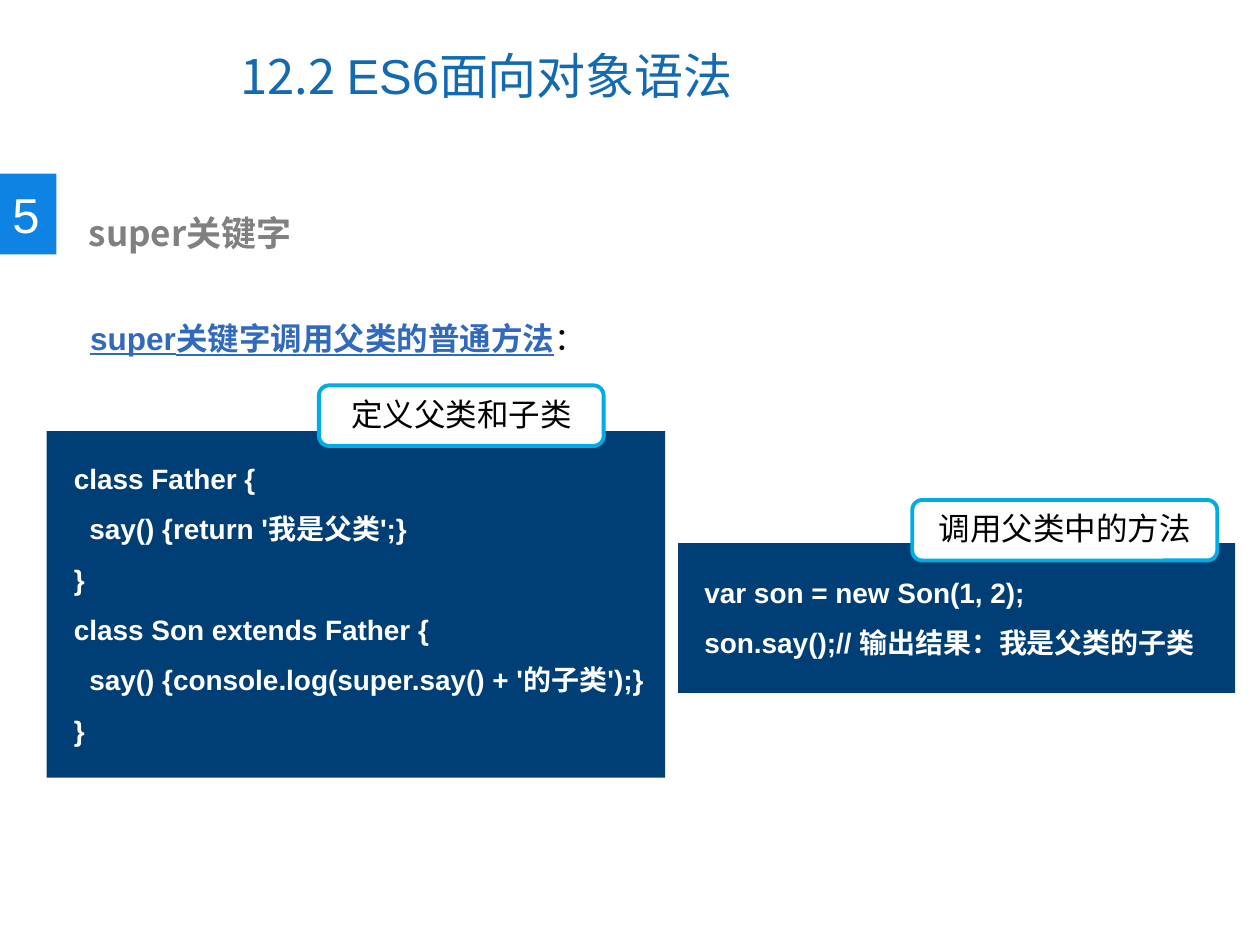
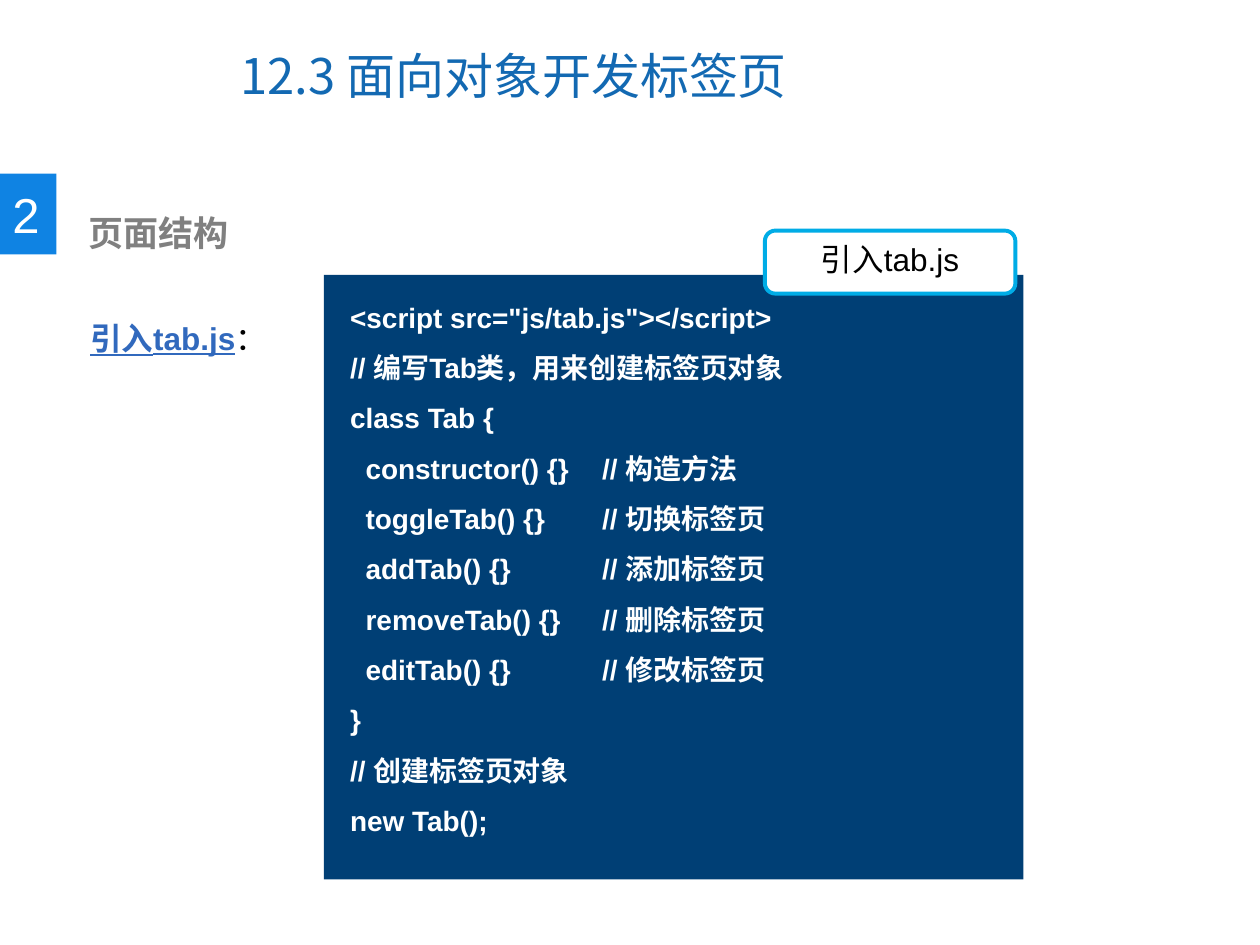
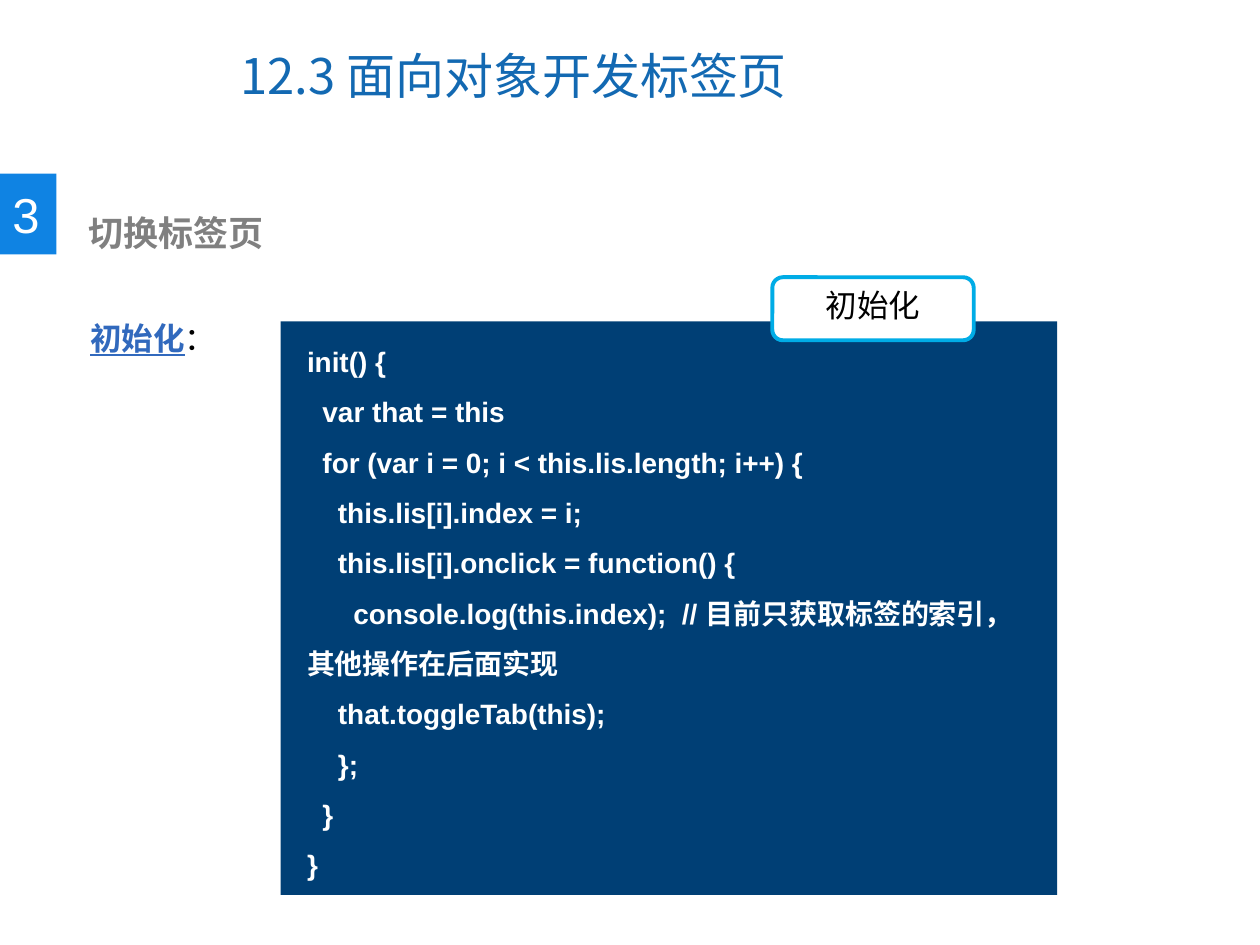
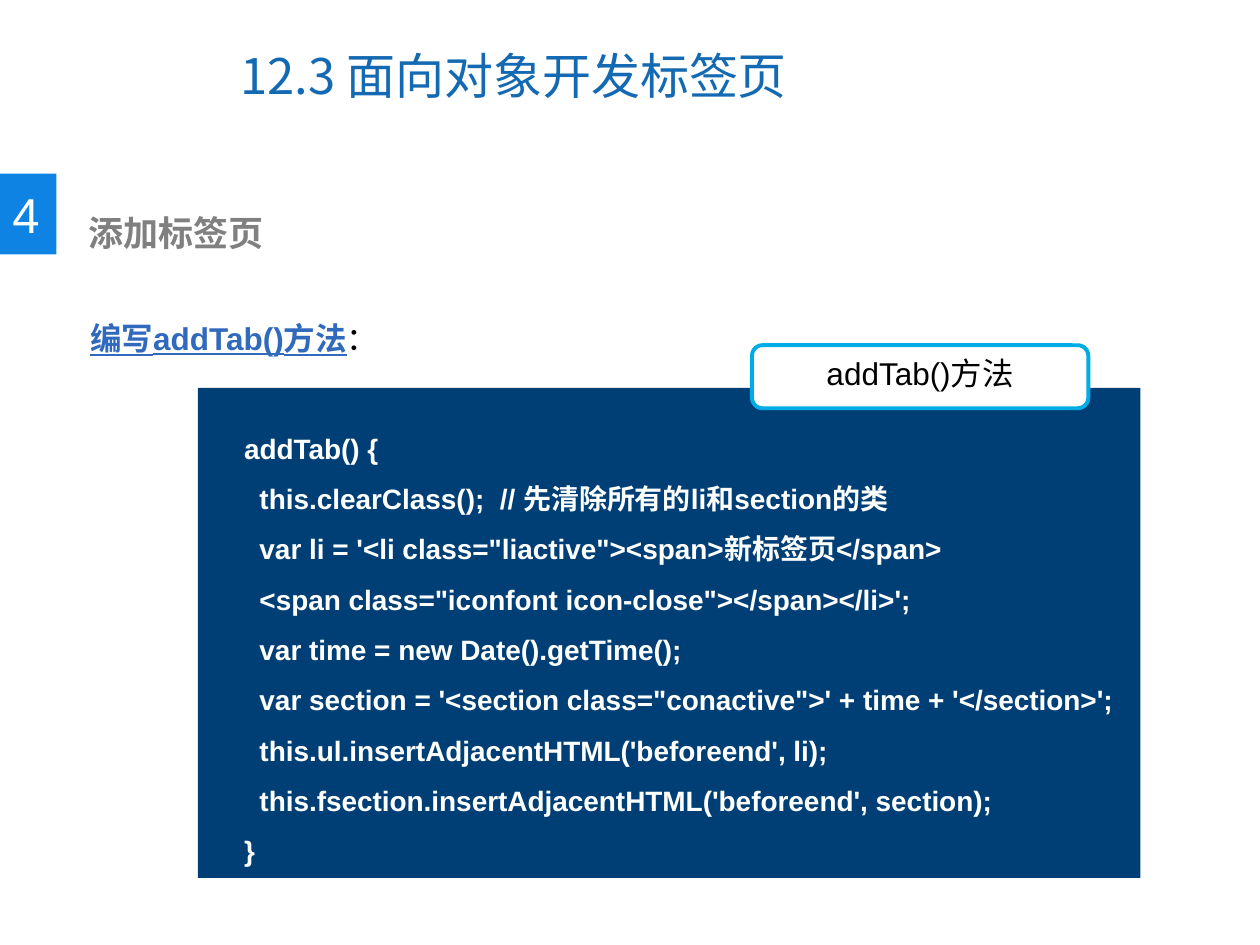
import dataclasses

import lxml.etree
import pptx
import pptx.dml.color
import pptx.enum.shapes
import pptx.enum.text
import pptx.oxml.ns
import pptx.util

Cm = pptx.util.Cm
SHAPES = pptx.enum.shapes.MSO_SHAPE
ANCHORS = pptx.enum.text.MSO_ANCHOR
ALIGN = pptx.enum.text.PP_ALIGN


@dataclasses.dataclass(frozen=True)
class Theme:
    latin: str = "Arial"
    chinese: str = "Noto Sans CJK SC"
    title: str = "1369B2"
    badge: str = "0F83E3"
    heading: str = "808080"
    lead: str = "3169BD"
    panel: str = "003F75"
    tag_line: str = "00ACE6"
    black: str = "000000"
    white: str = "FFFFFF"
    title_size: int = 28
    heading_size: int = 20
    body_size: int = 18
    code_size: int = 16


THEME = Theme()


@dataclasses.dataclass(frozen=True)
class Box:
    """A rectangle in centimetres."""
    left: float
    top: float
    width: float
    height: float

    def inside(self, left, top, width, height):
        return Box(self.left + left, self.top + top, width, height)

    def lengths(self):
        return [Cm(side) for side in (self.left, self.top, self.width, self.height)]


@dataclasses.dataclass(frozen=True)
class Panel:
    """A code panel; tag and text places are relative to its box."""
    box: Box
    tag: str
    tag_place: tuple
    text_place: tuple
    code: str


TITLE_BOX = Box(4.6, 0.43, 13.1, 2.16)
BADGE_BOX = Box(0, 3.5, 1.14, 1.63)
HEADING_BOX = Box(1.19, 4.14, 13.06, 1.12)
LEAD_BOX = Box(1.57, 5.54, 21.97, 1.55)
HEADING_INSET = 0.6
COMMENT_TAB = 5.08

TAB_TITLE = [("12.3 面向对象开发标签页", THEME.chinese)]

CLASSES_CODE = """\
class Father {
  say() {return '我是父类';}
}
class Son extends Father {
  say() {console.log(super.say() + '的子类');}
}"""

CALL_CODE = """\
var son = new Son(1, 2);
son.say();// 输出结果：我是父类的子类"""

TAB_CODE = """\
<script src="js/tab.js"></script>
// 编写Tab类，用来创建标签页对象
class Tab {
  constructor() {}\t// 构造方法
  toggleTab() {}\t// 切换标签页
  addTab() {}\t// 添加标签页
  removeTab() {}\t// 删除标签页
  editTab() {}\t// 修改标签页
}
// 创建标签页对象
new Tab();"""

INIT_CODE = """\
init() {
  var that = this
  for (var i = 0; i < this.lis.length; i++) {
    this.lis[i].index = i;
    this.lis[i].onclick = function() {
      console.log(this.index);  // 目前只获取标签的索引，其他操作在后面实现
    that.toggleTab(this);
    };
  }
}"""

ADD_CODE = """\
addTab() {
  this.clearClass();  // 先清除所有的li和section的类
  var li = '<li class="liactive"><span>新标签页</span>
  <span class="iconfont icon-close"></span></li>';
  var time = new Date().getTime();
  var section = '<section class="conactive">' + time + '</section>';
  this.ul.insertAdjacentHTML('beforeend', li);
  this.fsection.insertAdjacentHTML('beforeend', section);
}"""


def rgb(value):
    return pptx.dml.color.RGBColor.from_string(value)


def add_span(para, text, size, color, latin=THEME.latin, bold=False, underline=False):
    span = para.add_run()
    span.text = text
    font = span.font
    font.size = pptx.util.Pt(size)
    font.color.rgb = rgb(color)
    font.name = latin
    font.bold = bold
    font.underline = underline
    east_asian = pptx.oxml.ns.qn("a:ea")
    span.font._element.find(pptx.oxml.ns.qn("a:latin")).addnext(
        lxml.etree.Element(east_asian, typeface=THEME.chinese))


def add_text_frame(page, box, wrap=True):
    frame = page.shapes.add_textbox(*box.lengths()).text_frame
    frame.word_wrap = wrap
    return frame


def add_filled_shape(page, kind, box, fill, line=None):
    shape = page.shapes.add_shape(kind, *box.lengths())
    shape.shadow.inherit = False
    shape.fill.solid()
    shape.fill.fore_color.rgb = rgb(fill)
    if line:
        shape.line.color.rgb = rgb(line)
        shape.line.width = pptx.util.Pt(2.25)
    else:
        shape.line.fill.background()
    return shape


def add_title(page, box, parts):
    frame = add_text_frame(page, box)
    frame.vertical_anchor = ANCHORS.MIDDLE
    for text, latin in parts:
        add_span(frame.paragraphs[0], text, THEME.title_size, THEME.title, latin)


def add_badge(page, box, number):
    add_filled_shape(page, SHAPES.RECTANGLE, box, THEME.badge)
    frame = add_text_frame(page, box.inside(0, 0.1, 1.07, 1.45), wrap=False)
    add_span(frame.paragraphs[0], number, THEME.title_size, THEME.white)


def add_heading(page, box, text):
    frame = add_text_frame(page, box)
    frame.margin_left = Cm(HEADING_INSET)
    add_span(frame.paragraphs[0], text, THEME.heading_size, THEME.heading,
             THEME.chinese, bold=True)


def add_lead(page, box, text):
    para = add_text_frame(page, box).paragraphs[0]
    para.line_spacing = 2.0
    add_span(para, text, THEME.body_size, THEME.lead, bold=True, underline=True)
    add_span(para, "：", THEME.body_size, THEME.black)


def add_tab_stop(para, position):
    properties = para._p.get_or_add_pPr()
    stops = lxml.etree.SubElement(properties, pptx.oxml.ns.qn("a:tabLst"))
    lxml.etree.SubElement(stops, pptx.oxml.ns.qn("a:tab"),
                          pos=str(Cm(position)), algn="l")


def add_code(page, box, code):
    frame = add_text_frame(page, box)
    for index, line in enumerate(code.split("\n")):
        para = frame.add_paragraph() if index else frame.paragraphs[0]
        para.line_spacing = 1.5
        if "\t" in line:
            add_tab_stop(para, COMMENT_TAB)
        add_span(para, line, THEME.code_size, THEME.white, bold=True)


def add_tag(page, box, text):
    tag = add_filled_shape(page, SHAPES.ROUNDED_RECTANGLE, box, THEME.white, THEME.tag_line)
    frame = tag.text_frame
    frame.word_wrap = True
    frame.vertical_anchor = ANCHORS.TOP
    para = frame.paragraphs[0]
    para.alignment = ALIGN.CENTER
    add_span(para, text, THEME.body_size, THEME.black)


def add_panel(page, panel):
    box = panel.box
    left, top, width = panel.text_place
    add_filled_shape(page, SHAPES.RECTANGLE, box, THEME.panel)
    add_code(page, box.inside(left, top, width, box.height - top), panel.code)
    add_tag(page, box.inside(*panel.tag_place), panel.tag)


def add_lesson(deck, title, number, heading, lead, panels):
    page = deck.slides.add_slide(deck.slide_layouts[6])
    add_title(page, TITLE_BOX, title)
    add_badge(page, BADGE_BOX, number)
    add_heading(page, HEADING_BOX, heading)
    add_lead(page, LEAD_BOX, lead)
    for panel in panels:
        add_panel(page, panel)


def main():
    deck = pptx.Presentation()
    deck.slide_width = Cm(25.4)
    deck.slide_height = Cm(19.05)

    es6_title = [("12.2 ", THEME.chinese), ("ES6", THEME.latin),
                 ("面向对象语法", THEME.chinese)]
    add_lesson(deck, es6_title, "5", "super关键字", "super关键字调用父类的普通方法", [
        Panel(Box(0.94, 8.69, 12.47, 6.99), "定义父类和子类",
              (5.49, -0.92, 5.74, 1.22), (0.3, 0.15, 12.95), CLASSES_CODE),
        Panel(Box(13.67, 10.95, 11.23, 3.02), "调用父类中的方法",
              (4.72, -0.87, 6.15, 1.22), (0.28, 0.18, 10.95), CALL_CODE),
    ])
    add_lesson(deck, TAB_TITLE, "2", "页面结构", "引入tab.js", [
        Panel(Box(6.53, 5.54, 14.1, 12.19), "引入tab.js",
              (8.89, -0.89, 5.05, 1.27), (0.28, 0.05, 13.79), TAB_CODE),
    ])
    add_lesson(deck, TAB_TITLE, "3", "切换标签页", "初始化", [
        Panel(Box(5.66, 6.48, 15.65, 11.56), "初始化",
              (9.91, -0.89, 4.06, 1.27), (0.28, 0, 14.96), INIT_CODE),
    ])
    add_lesson(deck, TAB_TITLE, "4", "添加标签页", "编写addTab()方法", [
        Panel(Box(3.99, 7.82, 19, 9.88), "addTab()方法",
              (11.17, -0.86, 6.78, 1.27), (0.68, 0.41, 18.77), ADD_CODE),
    ])
    deck.save("out.pptx")


if __name__ == "__main__":
    main()
